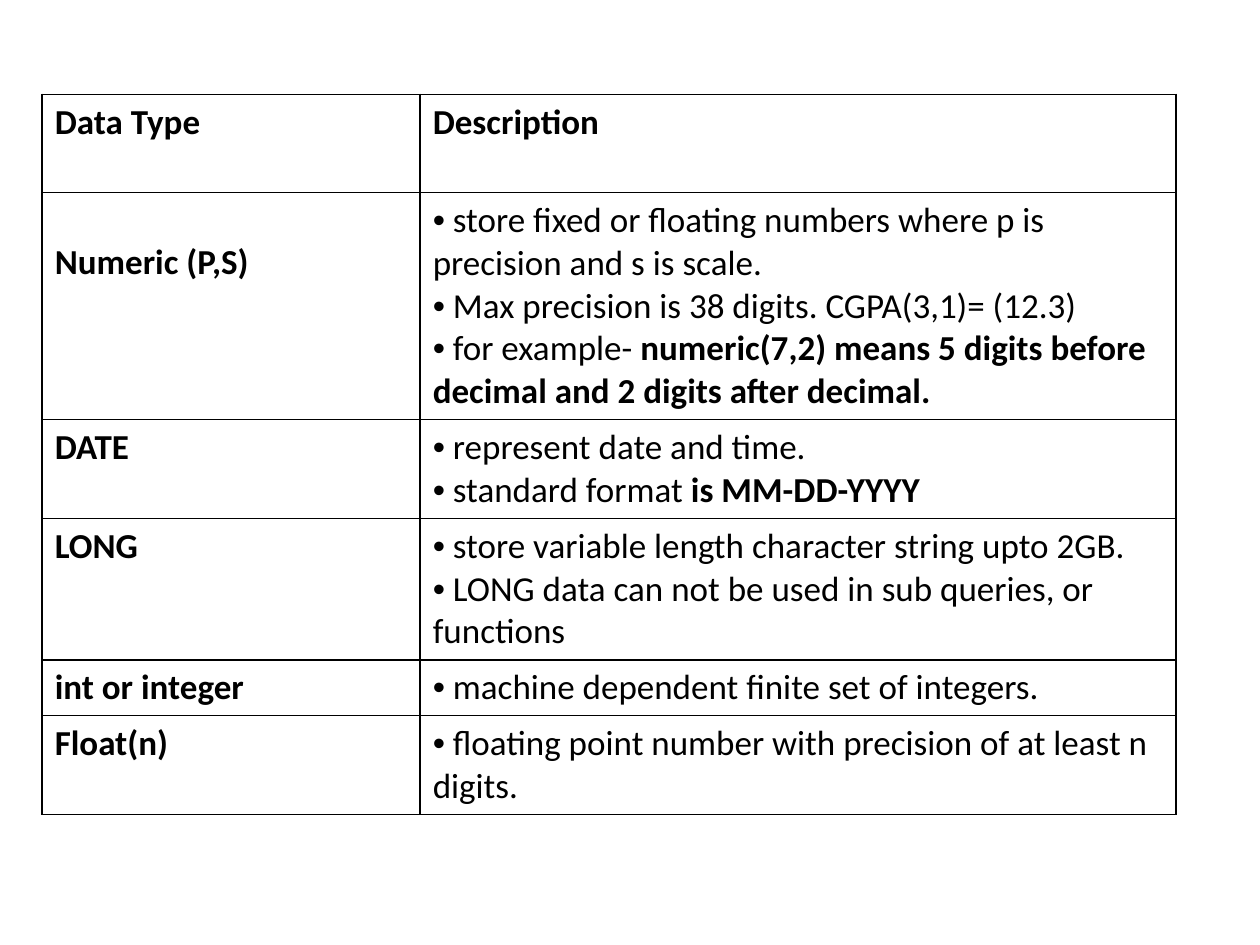
from dataclasses import dataclass

from lxml.etree import SubElement
from pptx import Presentation
from pptx.dml.color import RGBColor
from pptx.oxml.ns import qn
from pptx.util import Cm, Pt


@dataclass(frozen=True)
class Theme:
    font: str = "Calibri"
    size: float = 20
    ink: str = "000000"
    paper: str = "FFFFFF"
    border: float = 1
    line_height: float = 0.86  # cm
    padding: float = 0.13  # cm, above and below the text of a cell


# Each row: name, lines of height, blank lines above the name, description.
# A description is a list of paragraphs, each a list of (text, bold) spans.
HEADER = ("Data Type", 2, 0, [[("Description", True)]])
DATA_TYPES = [
    ("Numeric (P,S)", 5, 1, [
        [(" store fixed or floating numbers where p is precision and s is scale.", False)],
        [(" Max precision is 38 digits. CGPA(3,1)= (12.3)", False)],
        [(" for example- ", False),
         ("numeric(7,2) means 5 digits before decimal and 2 digits after decimal.", True)],
    ]),
    ("DATE", 2, 0, [
        [(" represent date and time.", False)],
        [(" standard format ", False), ("is MM-DD-YYYY", True)],
    ]),
    ("LONG", 3, 0, [
        [(" store variable length character string upto 2GB.", False)],
        [(" LONG data can not be used in sub queries, or functions", False)],
    ]),
    ("int or integer", 1, 0, [
        [(" machine dependent finite set of integers.", False)],
    ]),
    ("Float(n)", 2, 0, [
        [(" floating point number with precision of at least n digits.", False)],
    ]),
]


class PageBuilder:
    """Holds the style and the current slide."""

    def __init__(self, page, theme):
        self.page = page
        self.theme = theme

    def table(self, left, top, widths, rows):
        theme = self.theme
        heights = [lines * theme.line_height + 2 * theme.padding for _, lines, _, _ in rows]
        frame = self.page.shapes.add_table(
            len(rows), len(widths), Cm(left), Cm(top), Cm(sum(widths)), Cm(sum(heights)))
        table = frame.table
        table.first_row = table.horz_banding = False
        for column, width in zip(table.columns, widths):
            column.width = Cm(width)
        for index, (name, _, blank_lines, description) in enumerate(rows):
            table.rows[index].height = Cm(heights[index])
            self.cell(table.cell(index, 0), [[(name, True)]], blank_lines=blank_lines)
            self.cell(table.cell(index, 1), description, bulleted=index > 0)

    def cell(self, cell, paragraphs, bulleted=False, blank_lines=0):
        theme = self.theme
        self.borders(cell)
        cell.fill.solid()
        cell.fill.fore_color.rgb = RGBColor.from_string(theme.paper)
        cell.margin_top = Cm(theme.padding + blank_lines * theme.line_height)
        cell.margin_bottom = Cm(theme.padding)
        cell.text_frame.text = "\n".join(
            "".join(text for text, _ in spans) for spans in paragraphs)
        for para, spans in zip(cell.text_frame.paragraphs, paragraphs):
            if bulleted:
                self.bullet(para)
            para.runs[0].text = spans[0][0]
            for text, _ in spans[1:]:
                para.add_run().text = text
            for span, (_, bold) in zip(para.runs, spans):
                span.font.name = theme.font
                span.font.size = Pt(theme.size)
                span.font.bold = bold
                span.font.color.rgb = RGBColor.from_string(theme.ink)

    def bullet(self, para):
        properties = para._p.get_or_add_pPr()
        SubElement(properties, qn("a:buFont"), typeface="Arial")
        SubElement(properties, qn("a:buChar"), char="•")

    def borders(self, cell):
        properties = cell._tc.get_or_add_tcPr()
        for side in ("lnL", "lnR", "lnT", "lnB"):
            line = SubElement(properties, qn(f"a:{side}"), w=str(Pt(self.theme.border)))
            fill = SubElement(line, qn("a:solidFill"))
            SubElement(fill, qn("a:srgbClr"), val=self.theme.ink)


def main():
    deck = Presentation()
    deck.slide_width, deck.slide_height = Cm(25.4), Cm(19.05)

    # The page has no title, so it uses the blank layout
    page = deck.slides.add_slide(deck.slide_layouts[6])
    builder = PageBuilder(page, Theme())

    # Data types and their descriptions
    builder.table(0.85, 1.9, [7.62, 15.24], [HEADER, *DATA_TYPES])

    deck.save("out.pptx")


if __name__ == "__main__":
    main()
